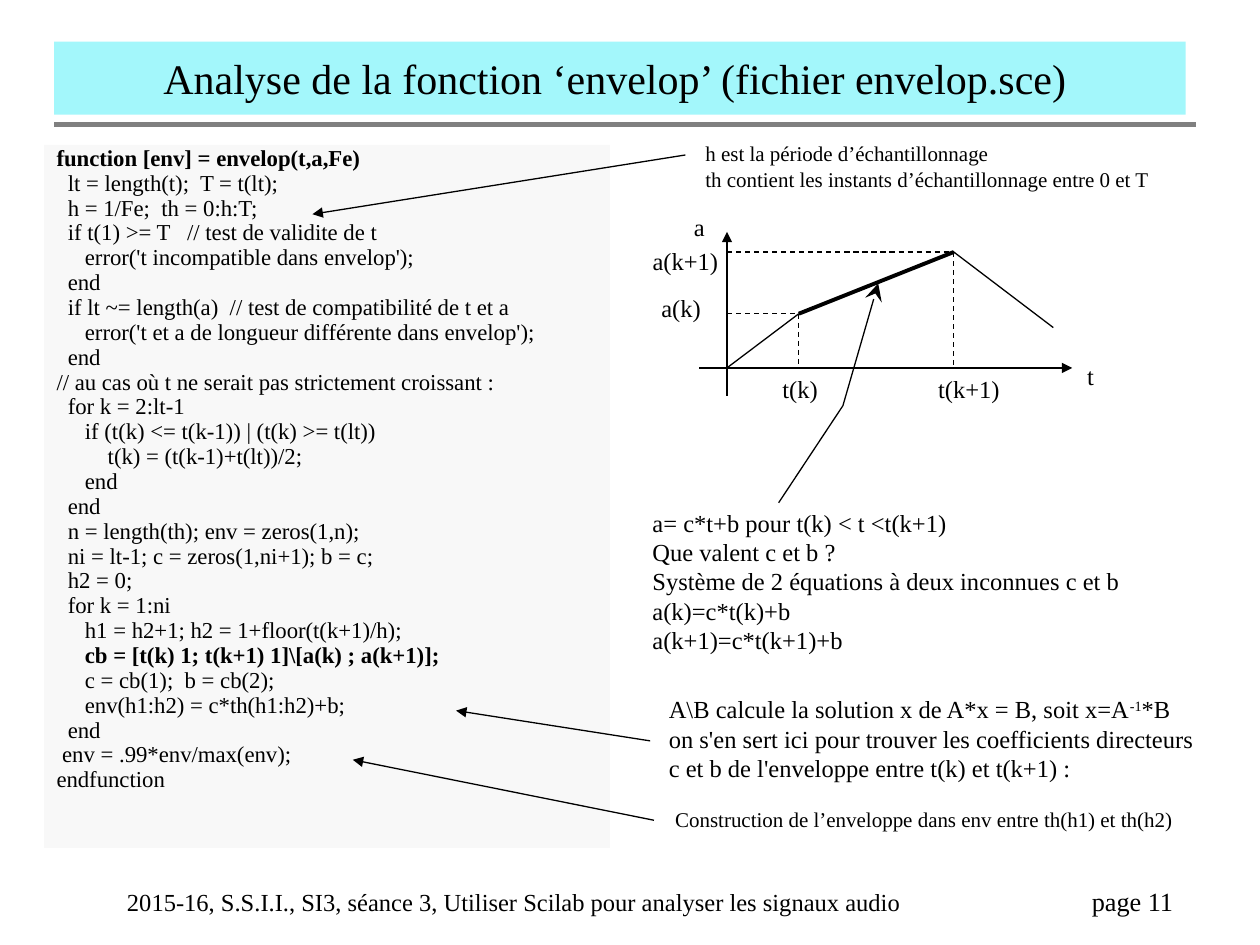
from dataclasses import dataclass

from lxml import etree
from pptx import Presentation
from pptx import util as u
from pptx.dml import color
from pptx.enum import dml, shapes, text
from pptx.oxml import ns

BLACK = color.RGBColor(0x00, 0x00, 0x00)
GREY = color.RGBColor(0x80, 0x80, 0x80)
CYAN = color.RGBColor(0xA3, 0xF7, 0xFB)
PALE = color.RGBColor(0xF8, 0xF8, 0xF8)
FONT = "Times New Roman"
LEFT, CENTER, RIGHT = text.PP_ALIGN.LEFT, text.PP_ALIGN.CENTER, text.PP_ALIGN.RIGHT
CODE_SIZE = 13
SPACE_WIDTH = CODE_SIZE * 0.25 / 72


@dataclass(frozen=True)
class Span:
    text: str
    bold: bool = False
    superscript: bool = False


@dataclass(frozen=True)
class Note:
    left: float
    top: float
    width: float
    height: float
    lines: tuple
    size: float = 14
    align: text.PP_ALIGN = LEFT
    wrap: bool = False


@dataclass(frozen=True)
class Stroke:
    start: tuple
    end: tuple
    weight: float = 0.75
    ink: color.RGBColor = BLACK
    dashed: bool = False
    arrow: bool = False


ORIGIN = (5.77, 2.92)
POINT_K = (6.34, 2.49)
POINT_K1 = (7.57, 2.0)

STROKES = [
    Stroke((5.55, ORIGIN[1]), (8.51, ORIGIN[1]), arrow=True),
    Stroke((ORIGIN[0], 3.14), (ORIGIN[0], 1.84), arrow=True),
    Stroke(POINT_K, POINT_K1, weight=2.25),
    Stroke(ORIGIN, POINT_K),
    Stroke(POINT_K1, (8.36, 2.6)),
    Stroke((5.16, 5.88), (3.62, 5.64), arrow=True),
    Stroke((5.19, 6.51), (2.8, 6.03), arrow=True),
    Stroke((5.44, 1.23), (2.48, 1.7), arrow=True),
]
for point in (POINT_K, POINT_K1):
    STROKES.append(Stroke((ORIGIN[0], point[1]), point, dashed=True))
    STROKES.append(Stroke(point, (point[0], ORIGIN[1]), dashed=True))

NOTES = [
    Note(5.5, 1.07, 3.9, 0.5, (
        "h est la période d’échantillonnage",
        "th contient les instants d’échantillonnage entre 0 et T",
    ), size=12),
    Note(5.08, 3.98, 4.17, 1.27, (
        "a= c*t+b pour t(k) < t <t(k+1)",
        "Que valent c et b ?",
        "Système de 2 équations à deux inconnues c et b",
        "a(k)=c*t(k)+b",
        "a(k+1)=c*t(k+1)+b",
    ), wrap=True),
    Note(5.21, 5.46, 4.5, 0.8, (
        (Span("A\\B calcule la solution x de A*x = B, soit x=A"),
         Span("-1", superscript=True), Span("*B")),
        "on s'en sert ici pour trouver les coefficients directeurs",
        "c et b de l'enveloppe entre t(k) et t(k+1) :",
    )),
    Note(5.26, 6.35, 4.25, 0.3,
         ("Construction de l’enveloppe dans env entre th(h1) et th(h2)",), size=12),
    Note(5.37, 1.63, 0.36, 0.34, ("a",), align=CENTER),
    Note(5.04, 1.9, 0.8, 0.34, ("a(k+1)",), align=CENTER),
    Note(5.1, 2.28, 0.61, 0.34, ("a(k)",), align=CENTER),
    Note(6.05, 2.92, 0.6, 0.34, ("t(k)",), align=CENTER),
    Note(7.29, 2.92, 0.8, 0.34, ("t(k+1)",), align=CENTER),
    Note(8.48, 2.82, 0.35, 0.34, ("t",), align=CENTER),
    Note(0.91, 6.99, 7.2, 0.33,
         ("2015-16, S.S.I.I., SI3, séance 3, Utiliser Scilab pour analyser les signaux audio",)),
    Note(8.41, 6.98, 1.0, 0.33, ("page 11",), size=15, align=RIGHT, wrap=True),
]

CODE = r"""function [env] = envelop(t,a,Fe)
  lt = length(t);  T = t(lt);
  h = 1/Fe;  th = 0:h:T;
  if t(1) >= T   // test de validite de t
     error('t incompatible dans envelop');
  end
  if lt ~= length(a)  // test de compatibilité de t et a
     error('t et a de longueur différente dans envelop');
  end
// au cas où t ne serait pas strictement croissant :
  for k = 2:lt-1
     if (t(k) <= t(k-1)) | (t(k) >= t(lt))
         t(k) = (t(k-1)+t(lt))/2;
     end
  end
  n = length(th); env = zeros(1,n);
  ni = lt-1; c = zeros(1,ni+1); b = c;
  h2 = 0;
  for k = 1:ni
     h1 = h2+1; h2 = 1+floor(t(k+1)/h);
     cb = [t(k) 1; t(k+1) 1]\[a(k) ; a(k+1)];
     c = cb(1);  b = cb(2);
     env(h1:h2) = c*th(h1:h2)+b;
  end
 env = .99*env/max(env);
endfunction"""
BOLD_STARTS = ("function", "cb =")


def write(para, content, *, size: float, align=LEFT) -> None:
    para.alignment = align
    spans = (Span(content),) if isinstance(content, str) else content
    for span in spans:
        run = para.add_run()
        run.text = span.text
        run.font.name = FONT
        run.font.size = u.Pt(size)
        run.font.bold = span.bold
        run.font.color.rgb = BLACK
        if span.superscript:
            run.font._element.set("baseline", "30000")


def next_para(frame, index: int):
    return frame.add_paragraph() if index else frame.paragraphs[0]


def add_arrowhead(shape, kind: str, size: str = "med") -> None:
    outline = shape._element.spPr.find(ns.qn("a:ln"))
    etree.SubElement(outline, ns.qn("a:tailEnd"), type=kind, w=size, len=size)


def draw_stroke(page, stroke: Stroke) -> None:
    ends = [u.Inches(value) for value in stroke.start + stroke.end]
    line = page.shapes.add_connector(shapes.MSO_CONNECTOR.STRAIGHT, *ends)
    line.line.color.rgb = stroke.ink
    line.line.width = u.Pt(stroke.weight)
    if stroke.dashed:
        line.line.dash_style = dml.MSO_LINE.DASH
    if stroke.arrow:
        add_arrowhead(line, "triangle")
    etree.SubElement(line._element.spPr, ns.qn("a:effectLst"))


def draw_note(page, note: Note) -> None:
    box = page.shapes.add_textbox(*map(u.Inches, (note.left, note.top, note.width, note.height)))
    box.text_frame.word_wrap = note.wrap
    box.text_frame.auto_size = text.MSO_AUTO_SIZE.SHAPE_TO_FIT_TEXT
    for index, content in enumerate(note.lines):
        write(next_para(box.text_frame, index), content, size=note.size, align=note.align)


def draw_title(page) -> None:
    title = page.shapes.title
    title.left, title.top, title.width, title.height = map(u.Inches, (0.43, 0.33, 8.98, 0.58))
    title.fill.solid()
    title.fill.fore_color.rgb = CYAN
    title.text_frame.vertical_anchor = text.MSO_ANCHOR.MIDDLE
    title.text_frame.auto_size = text.MSO_AUTO_SIZE.NONE
    title.text_frame.margin_right = u.Inches(0.18)
    write(title.text_frame.paragraphs[0],
          "Analyse de la fonction ‘envelop’ (fichier envelop.sce)", size=24, align=CENTER)


def draw_code(page) -> None:
    panel = page.shapes.add_shape(shapes.MSO_SHAPE.RECTANGLE,
                                  *map(u.Inches, (0.35, 1.15, 4.49, 5.58)))
    panel.shadow.inherit = False
    panel.fill.solid()
    panel.fill.fore_color.rgb = PALE
    panel.line.fill.background()
    panel.text_frame.vertical_anchor = text.MSO_ANCHOR.TOP
    panel.text_frame.word_wrap = True
    for index, line in enumerate(CODE.splitlines()):
        content = line.lstrip()
        para = next_para(panel.text_frame, index)
        para.line_spacing = 0.7
        para.space_before = u.Pt(3.25)
        indent = u.Inches((len(line) - len(content)) * SPACE_WIDTH)
        para._p.get_or_add_pPr().set("marL", str(indent))
        write(para, (Span(content, bold=content.startswith(BOLD_STARTS)),), size=CODE_SIZE)


def draw_pointer(page) -> None:
    first, *rest = [tuple(map(u.Inches, spot)) for spot in ((6.18, 3.99), (6.69, 3.22), (6.97, 2.25))]
    builder = page.shapes.build_freeform(*first)
    builder.add_line_segments(rest, close=False)
    pointer = builder.convert_to_shape()
    pointer.shadow.inherit = False
    pointer.fill.background()
    pointer.line.color.rgb = BLACK
    pointer.line.width = u.Pt(0.75)
    add_arrowhead(pointer, "stealth", "lg")


def main() -> None:
    deck = Presentation()
    deck.slide_width, deck.slide_height = u.Inches(10), u.Inches(7.5)
    page = deck.slides.add_slide(deck.slide_layouts[5])
    draw_stroke(page, Stroke((0.43, 0.99), (9.49, 0.99), weight=3, ink=GREY))
    draw_title(page)
    draw_code(page)
    for stroke in STROKES:
        draw_stroke(page, stroke)
    draw_pointer(page)
    for note in NOTES:
        draw_note(page, note)
    deck.save("out.pptx")


if __name__ == "__main__":
    main()
